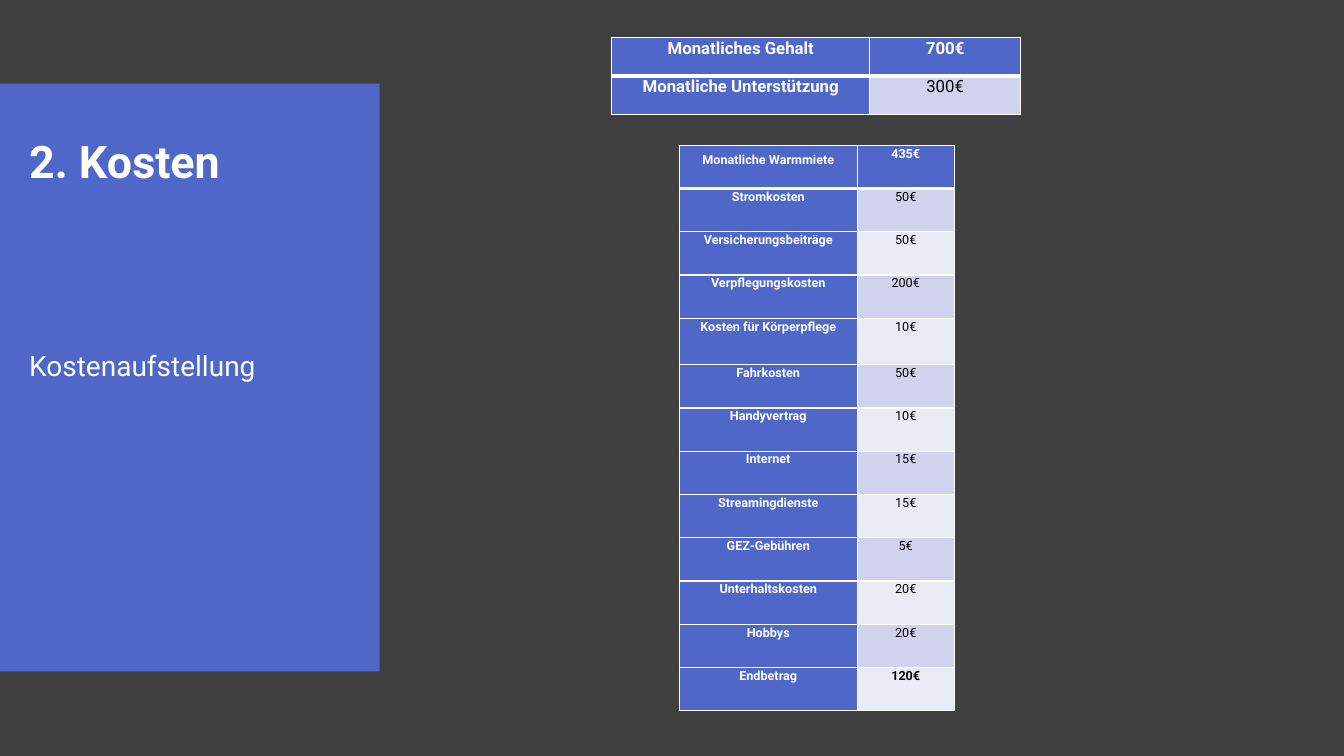
from dataclasses import dataclass

import pptx
import pptx.dml.color
import pptx.enum.shapes
import pptx.enum.text
import pptx.oxml
import pptx.oxml.ns
import pptx.util
from pptx.util import Cm


@dataclass(frozen=True)
class Theme:
    font: str = "Roboto"
    background: str = "404040"
    accent: str = "4E67C8"
    light: str = "FFFFFF"
    dark: str = "000000"
    bands: tuple = ("E9EBF5", "D0D3EB")
    title_size: int = 32
    subtitle_size: int = 20
    income_size: int = 12
    cost_size: int = 9
    border: int = 1
    header_border: int = 3


THEME = Theme()

INCOME = [("Monatliches Gehalt", "700€"), ("Monatliche Unterstützung", "300€")]
COSTS = [
    ("Monatliche Warmmiete", "435€"),
    ("Stromkosten", "50€"),
    ("Versicherungsbeiträge", "50€"),
    ("Verpflegungskosten", "200€"),
    ("Kosten für Körperpflege", "10€"),
    ("Fahrkosten", "50€"),
    ("Handyvertrag", "10€"),
    ("Internet", "15€"),
    ("Streamingdienste", "15€"),
    ("GEZ-Gebühren", "5€"),
    ("Unterhaltskosten", "20€"),
    ("Hobbys", "20€"),
    ("Endbetrag", "120€"),
]


def rgb(value):
    return pptx.dml.color.RGBColor.from_string(value)


def apply_format(target, values):
    for name, value in values.items():
        setattr(target, name, value)


def fill_solid(fill, color):
    fill.solid()
    fill.fore_color.rgb = rgb(color)


def write_paragraph(paragraph, text, size, color, bold, **layout):
    apply_format(paragraph, layout)
    run = paragraph.add_run()
    run.text = text
    apply_format(run.font, {"name": THEME.font, "size": pptx.util.Pt(size), "bold": bold})
    run.font.color.rgb = rgb(color)


def add_panel(slide):
    """Add the coloured panel behind the title."""
    panel = slide.shapes.add_shape(
        pptx.enum.shapes.MSO_SHAPE.RECTANGLE, 0, Cm(2.11), Cm(9.57), Cm(14.81))
    panel.shadow.inherit = False
    fill_solid(panel.fill, THEME.accent)
    panel.line.fill.background()
    slide.shapes.title.element.addprevious(panel.element)


def set_title(slide, title, subtitle):
    shape = slide.shapes.title
    apply_format(shape, {"left": Cm(0.48), "top": Cm(3.23),
                         "width": Cm(8.1), "height": Cm(12.57)})
    frame = shape.text_frame
    apply_format(frame, {"word_wrap": True,
                         "auto_size": pptx.enum.text.MSO_AUTO_SIZE.NONE,
                         "vertical_anchor": pptx.enum.text.MSO_ANCHOR.TOP})
    left = pptx.enum.text.PP_ALIGN.LEFT
    write_paragraph(frame.paragraphs[0], title, THEME.title_size, THEME.light, True,
                    alignment=left)
    write_paragraph(frame.add_paragraph(), subtitle, THEME.subtitle_size, THEME.light, False,
                    alignment=left, space_before=pptx.util.Pt(115))


def set_borders(cell, bottom):
    properties = cell._tc.get_or_add_tcPr()
    widths = {"L": THEME.border, "R": THEME.border, "T": THEME.border, "B": bottom}
    for side, width in widths.items():
        properties.append(pptx.oxml.parse_xml(
            f'<a:ln{side} {pptx.oxml.ns.nsdecls("a")} w="{pptx.util.Pt(width)}">'
            f'<a:solidFill><a:srgbClr val="{THEME.light}"/></a:solidFill></a:ln{side}>'))


def format_cell(cell, text, size, margin, highlighted, header, band, bold, spacing):
    apply_format(cell, {"margin_left": margin, "margin_right": margin,
                        "margin_top": 0, "margin_bottom": 0})
    set_borders(cell, THEME.header_border if header else THEME.border)
    fill_solid(cell.fill, THEME.accent if highlighted else band)
    write_paragraph(cell.text_frame.paragraphs[0], text, size,
                    THEME.light if highlighted else THEME.dark, bold,
                    alignment=pptx.enum.text.PP_ALIGN.CENTER, line_spacing=spacing)


def add_amount_table(slide, entries, left, top, widths, heights, size, margin,
                     total=None, first_spacing=1.07):
    """Add a table of labels and amounts; the amount of the total row is bold."""
    table = slide.shapes.add_table(
        len(entries), 2, left, top, sum(widths), sum(heights)).table
    for column, width in zip(table.columns, widths):
        column.width = width
    for row, height in zip(table.rows, heights):
        row.height = height
    for row_index, entry in enumerate(entries):
        header = row_index == 0
        for column_index, text in enumerate(entry):
            label = column_index == 0
            format_cell(
                table.cell(row_index, column_index), text, size, margin,
                highlighted=header or label, header=header,
                band=THEME.bands[row_index % 2],
                bold=header or label or entry[0] == total,
                spacing=first_spacing if header and label else 1.07)


def main():
    presentation = pptx.Presentation()
    apply_format(presentation, {"slide_width": Cm(33.87), "slide_height": Cm(19.05)})
    slide = presentation.slides.add_slide(presentation.slide_layouts.get_by_name("Title Only"))
    fill_solid(slide.background.fill, THEME.background)

    add_panel(slide)
    set_title(slide, "2. Kosten", "Kostenaufstellung")
    add_amount_table(slide, INCOME, Cm(15.42), Cm(0.94), [Cm(6.5), Cm(3.8)],
                     [Cm(0.97)] * len(INCOME), THEME.income_size, Cm(0.18))
    cost_heights = [Cm(1.17 if label == "Kosten für Körperpflege" else 1.09)
                    for label, _ in COSTS]
    add_amount_table(slide, COSTS, Cm(17.12), Cm(3.66), [Cm(4.48), Cm(2.45)],
                     cost_heights, THEME.cost_size, Cm(0.13),
                     total="Endbetrag", first_spacing=1.5)
    presentation.save("out.pptx")


if __name__ == "__main__":
    main()
